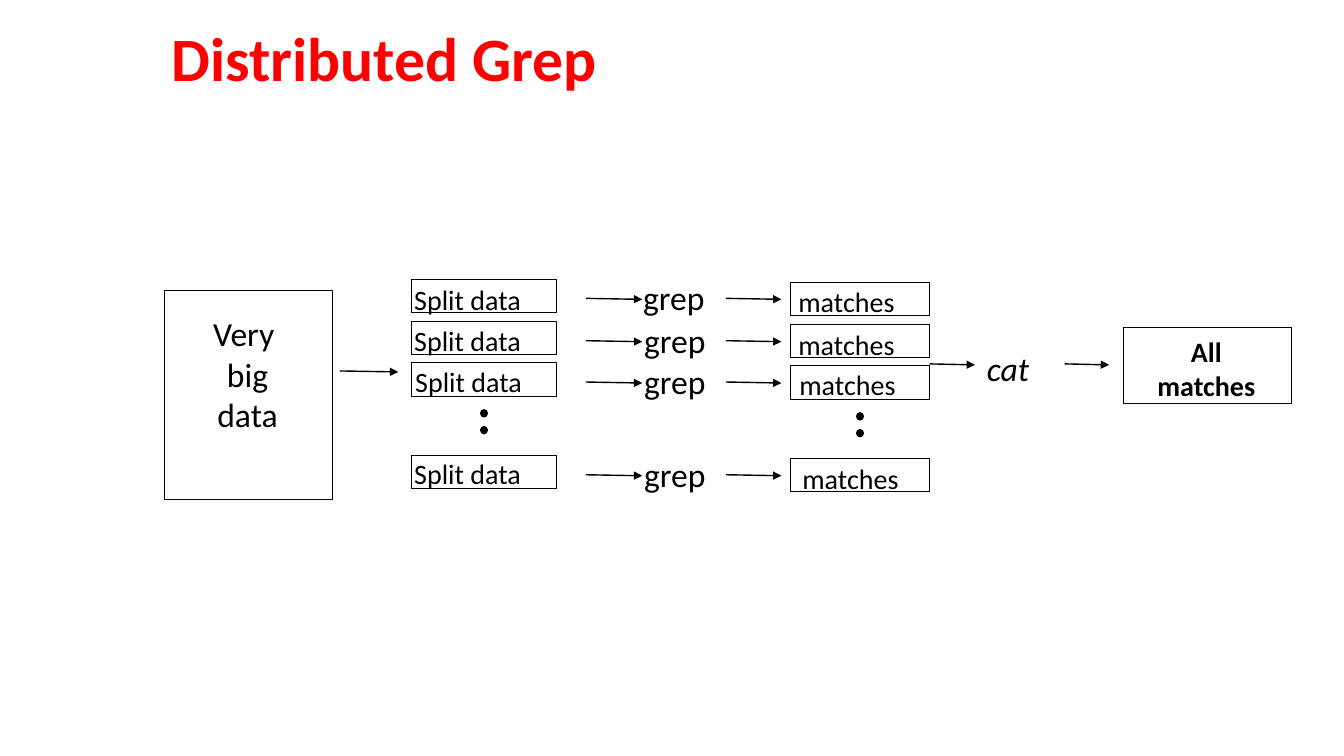
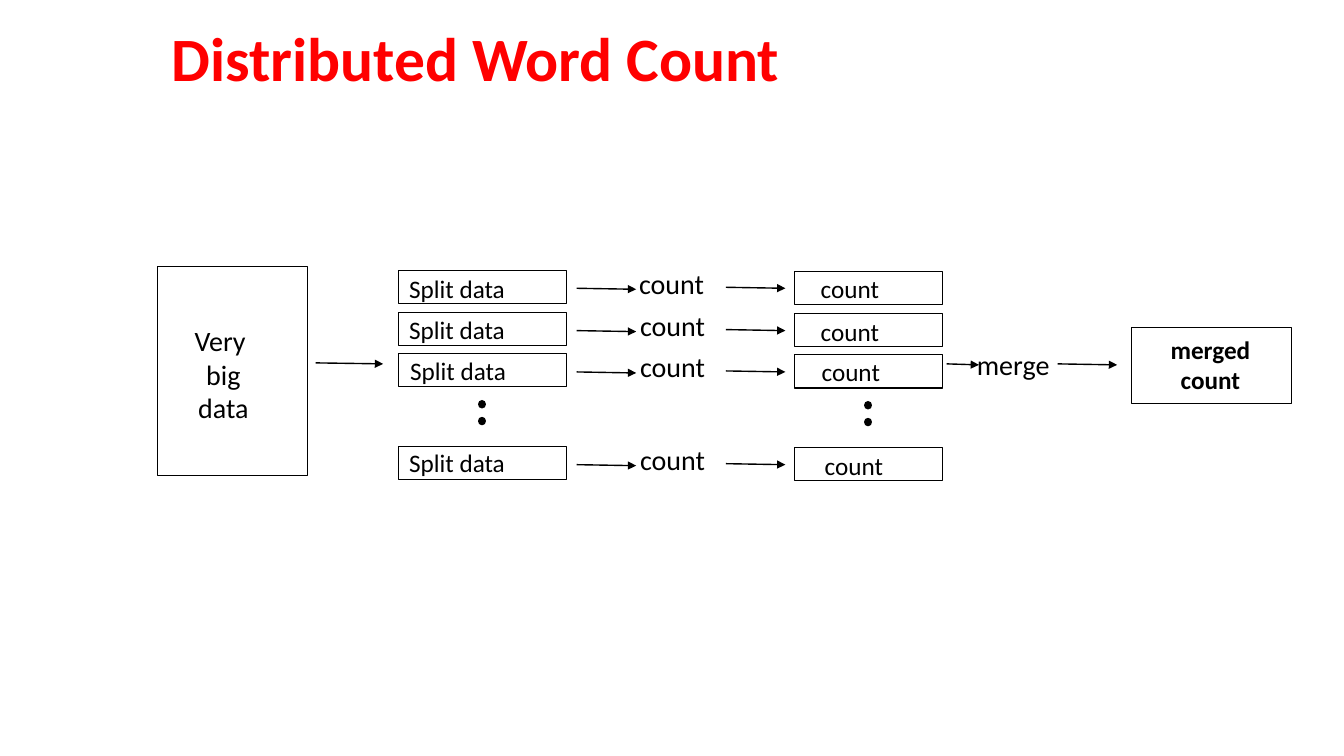
from dataclasses import dataclass

from lxml import etree
from pptx import Presentation
from pptx.dml.color import RGBColor
from pptx.enum import dml, shapes, text
from pptx.oxml.ns import qn
from pptx.util import Emu, Pt

EMU_PER_PX = 9144
SLIDE_SIZE = (1333, 750)
TITLE_BOX = (160, 11, 990, 100)
ROW_OFFSETS = (0, 42, 83, 175)
ROW_HEIGHT = 33
DOTS_OFFSET, DOTS_LENGTH = 133, 25
FLOW_Y = 361
ARROW_DROP = 1

SPLIT_NUDGES = ((0, 0), (0, -1), (1, -1), (0, -2))
STEP_NUDGES = ((0, 0), (1, 0), (1, 0), (1, 0))
RESULT_NUDGES = ((0, 0), (0, 1), (1, 0), (4, 1))


@dataclass(frozen=True)
class Theme:
    font: str = "Calibri"
    ink: str = "000000"
    paper: str = "FFFFFF"
    accent: str = "FF0000"
    title: int = 44
    large: int = 24
    medium: int = 20
    small: int = 18
    outline: float = 0.75
    arrow: float = 1
    dots: float = 6


THEME = Theme()

FLOWS = [
    {
        "title": "Distributed Grep",
        "source": {"box": (163, 288, 167, 208), "words": ("Very ", "big", "data"),
                   "label": (183, 306, 125, 130), "size": THEME.large, "wrap": True},
        "split": {"x": 408, "y": 277, "width": 144, "words": "Split data",
                  "label": (401, 275, 130, 43), "size": THEME.medium, "nudges": SPLIT_NUDGES},
        "step": {"words": "grep", "label": (628, 270, 85, 50),
                 "size": THEME.large, "nudges": STEP_NUDGES},
        "result": {"x": 784, "y": 280, "width": 138, "words": "matches",
                   "label": (782, 277, 120, 43), "size": THEME.medium, "nudges": RESULT_NUDGES},
        "source_arrow": (337, 395, 368),
        "row_arrows": ((581, 637, 296), (720, 775, 296)),
        "merge": {"words": "cat", "label": (969, 340, 66, 50),
                  "size": THEME.large, "italic": True},
        "merge_arrows": ((922, 967), (1056, 1100)),
        "total": {"box": (1114, 325, 167, 75), "words": ("All", "matches"),
                  "label": (1136, 327, 121, 77), "size": THEME.medium},
    },
    {
        "title": "Distributed Word Count",
        "source": {"box": (156, 264, 149, 208), "words": ("Very ", "big", "data"),
                   "label": (181, 316, 81, 110), "size": THEME.medium, "wrap": False},
        "split": {"x": 395, "y": 268, "width": 167, "words": "Split data",
                  "label": (396, 266, 120, 40), "size": THEME.small, "nudges": SPLIT_NUDGES},
        "step": {"words": "count", "label": (624, 259, 89, 43),
                 "size": THEME.medium, "nudges": STEP_NUDGES},
        "result": {"x": 788, "y": 269, "width": 147, "words": "count",
                   "label": (804, 266, 82, 40), "size": THEME.small, "nudges": RESULT_NUDGES},
        "source_arrow": (313, 380, 360),
        "row_arrows": ((572, 631, 286), (720, 779, 285)),
        "merge": {"words": "merge", "label": (959, 340, 97, 43),
                  "size": THEME.medium, "italic": False},
        "merge_arrows": ((939, 971), (1049, 1108)),
        "total": {"box": (1122, 325, 159, 75), "words": ("merged", "count"),
                  "label": (1149, 327, 103, 70), "size": THEME.small},
    },
]


def px(*lengths):
    return [Emu(length * EMU_PER_PX) for length in lengths]


def assign(target, values):
    for name, value in values.items():
        setattr(target, name, value)


def write(frame, lines, size, color=THEME.ink, bold=False, italic=False, wrap=False,
          anchor=text.MSO_ANCHOR.TOP, align=text.PP_ALIGN.LEFT, spacing=None):
    side, edge = px(10, 5)
    assign(frame, {"word_wrap": wrap, "vertical_anchor": anchor,
                   "margin_left": side, "margin_right": side,
                   "margin_top": edge, "margin_bottom": edge})
    for index, line in enumerate(lines):
        paragraph = frame.add_paragraph() if index else frame.paragraphs[0]
        assign(paragraph, {"alignment": align, "line_spacing": spacing})
        run = paragraph.add_run()
        run.text = line
        assign(run.font, {"name": THEME.font, "size": Pt(size), "bold": bold, "italic": italic})
        run.font.color.rgb = RGBColor.from_string(color)


def add_label(parent, area, lines, size, **style):
    write(parent.add_textbox(*px(*area)).text_frame, lines, size, **style)


def add_box(parent, area):
    box = parent.add_shape(shapes.MSO_SHAPE.RECTANGLE, *px(*area))
    box.shadow.inherit = False
    box.fill.solid()
    box.fill.fore_color.rgb = RGBColor.from_string(THEME.paper)
    box.line.color.rgb = RGBColor.from_string(THEME.ink)
    box.line.width = Pt(THEME.outline)


def add_line(parent, start, end, width):
    line = parent.add_connector(shapes.MSO_CONNECTOR.STRAIGHT, *px(*start, *end))
    line.line.color.rgb = RGBColor.from_string(THEME.ink)
    line.line.width = Pt(width)
    etree.SubElement(line._element.spPr, qn("a:effectLst"))
    return line.line


def add_arrow(parent, left, right, y):
    line = add_line(parent, (left, y), (right, y + ARROW_DROP), THEME.arrow)
    etree.SubElement(line._get_or_add_ln(), qn("a:tailEnd"), type="triangle")


def add_stack(parent, column):
    for offset in ROW_OFFSETS:
        add_box(parent, (column["x"], column["y"] + offset, column["width"], ROW_HEIGHT))
    x, y = column["x"] + column["width"] // 2, column["y"] + DOTS_OFFSET
    dots = add_line(parent, (x, y), (x, y + DOTS_LENGTH), THEME.dots)
    dots.dash_style = dml.MSO_LINE.ROUND_DOT
    dots._get_or_add_ln().set("cap", "rnd")


def add_row_labels(parent, column):
    x, y, width, height = column["label"]
    for offset, (dx, dy) in zip(ROW_OFFSETS, column["nudges"]):
        add_label(parent, (x + dx, y + offset + dy, width, height),
                  [column["words"]], column["size"])


def add_title(slide, words):
    title = slide.shapes.title
    assign(title, dict(zip(("left", "top", "width", "height"), px(*TITLE_BOX))))
    write(title.text_frame, [words], THEME.title, color=THEME.accent, bold=True,
          wrap=True, anchor=text.MSO_ANCHOR.MIDDLE, spacing=0.9)


def add_flow(slide, flow):
    add_title(slide, flow["title"])
    source, merge, total = flow["source"], flow["merge"], flow["total"]
    add_box(slide.shapes, source["box"])
    add_label(slide.shapes, source["label"], source["words"], source["size"],
              wrap=source["wrap"], align=text.PP_ALIGN.CENTER)

    splitting = slide.shapes.add_group_shape().shapes
    add_stack(splitting, flow["split"])
    add_arrow(splitting, *flow["source_arrow"])
    add_row_labels(splitting, flow["split"])

    working = slide.shapes.add_group_shape().shapes
    add_row_labels(working, flow["step"])
    add_stack(working, flow["result"])
    for left, right, y in flow["row_arrows"]:
        for offset in ROW_OFFSETS:
            add_arrow(working, left, right, y + offset)
    add_row_labels(working, flow["result"])

    merging = slide.shapes.add_group_shape().shapes
    add_label(merging, merge["label"], [merge["words"]], merge["size"], italic=merge["italic"])
    for left, right in flow["merge_arrows"]:
        add_arrow(merging, left, right, FLOW_Y)
    add_box(merging, total["box"])
    add_label(merging, total["label"], total["words"], total["size"],
              bold=True, align=text.PP_ALIGN.CENTER)


def main():
    deck = Presentation()
    deck.slide_width, deck.slide_height = px(*SLIDE_SIZE)
    for flow in FLOWS:
        add_flow(deck.slides.add_slide(deck.slide_layouts[5]), flow)
    deck.save("out.pptx")


if __name__ == "__main__":
    main()
